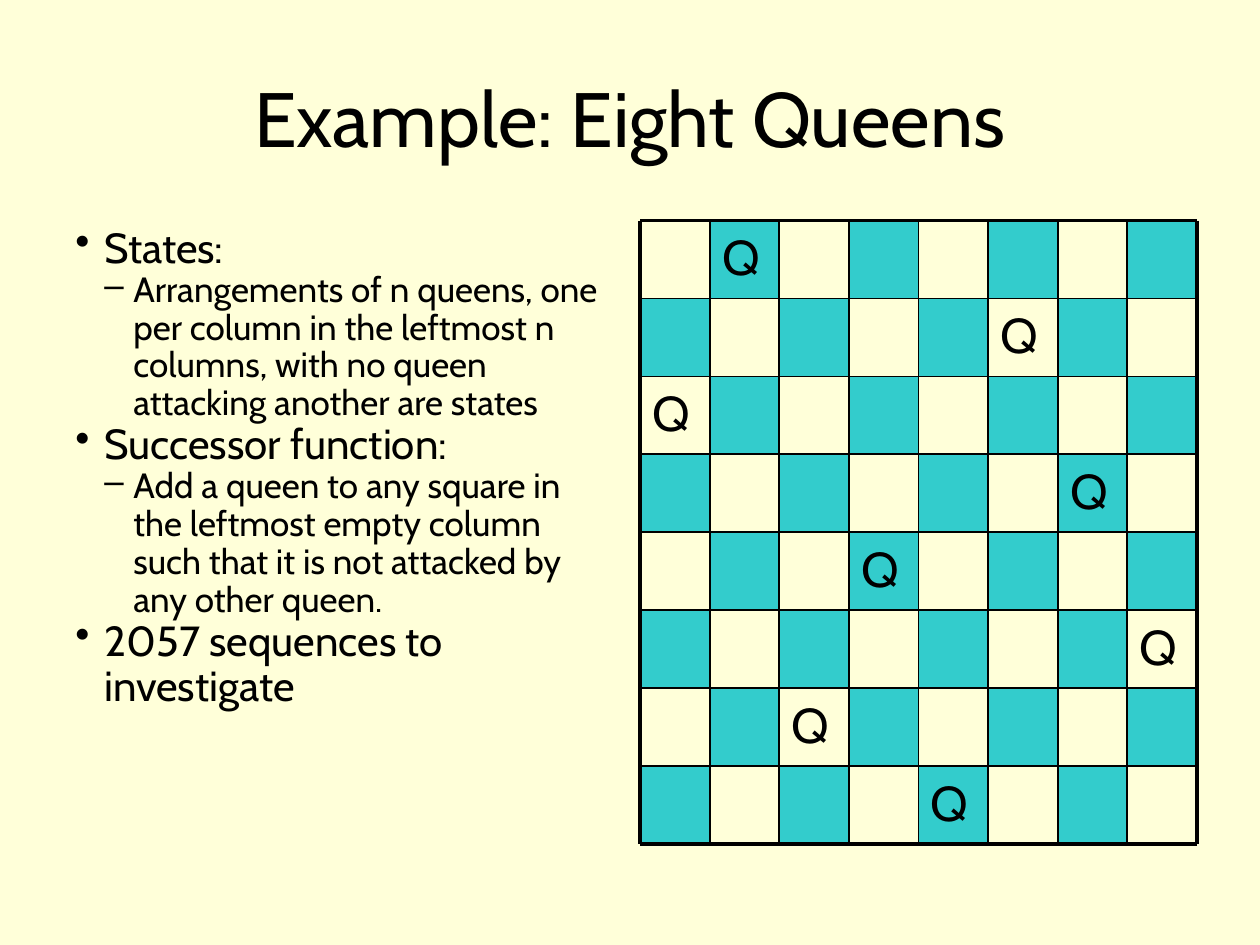
from dataclasses import dataclass

from lxml import etree
from pptx import Presentation
from pptx.dml.color import RGBColor
from pptx.enum.shapes import MSO_CONNECTOR, MSO_SHAPE
from pptx.enum.text import MSO_ANCHOR, PP_ALIGN
from pptx.oxml.ns import qn
from pptx.util import Inches, Pt

RECT = MSO_SHAPE.RECTANGLE
LINE = MSO_CONNECTOR.STRAIGHT
TOP, MIDDLE = MSO_ANCHOR.TOP, MSO_ANCHOR.MIDDLE
LEFT, CENTER = PP_ALIGN.LEFT, PP_ALIGN.CENTER


@dataclass(frozen=True)
class Theme:
    """Colours, font and type sizes of the slide."""
    back: RGBColor = RGBColor(0xFF, 0xFF, 0xD9)
    ink: RGBColor = RGBColor(0, 0, 0)
    dark: RGBColor = RGBColor(0x33, 0xCC, 0xCC)
    font: str = "Cabin"
    title: int = 44
    queen: int = 28
    levels: tuple = (24, 20)
    thick: float = 2.25
    thin: float = 1


THEME = Theme()
SIZE = 8
X, Y, WIDE, HIGH = 5.08, 1.75, 4.42, 4.95
STEP_X, STEP_Y = WIDE / SIZE, HIGH / SIZE
QUEENS = (1, 5, 0, 6, 3, 7, 2, 4)
MARKS = ("•", "–")
HANG = 0.23
POINTS = (
    (0, "States:"),
    (1, "Arrangements of n queens, one per column in the leftmost n columns, "
        "with no queen attacking another are states"),
    (0, "Successor function:"),
    (1, "Add a queen to any square in the leftmost empty column such that "
        "it is not attacked by any other queen."),
    (0, "2057 sequences to investigate"),
)


def apply(item, form):
    """Set each attribute named in form."""
    for name, value in form.items():
        setattr(item, name, value)


def box(left, top, wide, high):
    """Turn a place in inches into lengths."""
    return tuple(Inches(n) for n in (left, top, wide, high))


def write(para, text, size, align=LEFT):
    """Put one run of styled text into a paragraph."""
    para.alignment = align
    run = para.add_run()
    run.text = text
    apply(run.font, {"name": THEME.font, "size": Pt(size)})
    run.font.color.rgb = THEME.ink


def frame(shape, anchor=TOP):
    """Prepare a shape's text frame and return it."""
    text = shape.text_frame
    apply(text, {
        "word_wrap": True, "vertical_anchor": anchor,
        "margin_left": Inches(0.1), "margin_right": Inches(0.1),
        "margin_top": Inches(0.05), "margin_bottom": Inches(0.05),
    })
    return text


def add_title(slide, text):
    """Place and fill the title."""
    shape = slide.shapes.title
    left, top, wide, high = box(0.5, 0.3, 9, 1.25)
    apply(shape, {"left": left, "top": top, "width": wide, "height": high})
    write(frame(shape, MIDDLE).paragraphs[0], text, THEME.title, CENTER)


def add_mark(para, level):
    """Give a paragraph its bullet and hanging indent."""
    props = para._p.get_or_add_pPr()
    props.set("marL", str(Inches(HANG * (level + 1))))
    props.set("indent", str(-Inches(HANG)))
    etree.SubElement(props, qn("a:buChar"), char=MARKS[level])


def add_list(slide, points):
    """Add the bulleted text."""
    text = frame(slide.shapes.add_textbox(*box(0.5, Y, WIDE, HIGH)))
    for i, (level, words) in enumerate(points):
        para = text.add_paragraph() if i else text.paragraphs[0]
        apply(para, {"level": level, "line_spacing": 0.9,
                     "space_before": Pt(0), "space_after": Pt(0)})
        write(para, words, THEME.levels[level])
        add_mark(para, level)


def add_cell(slide, row, col):
    """Add a dark square, a queen, or both."""
    place = box(X + col * STEP_X, Y + row * STEP_Y, STEP_X, STEP_Y)
    dark, queen = (row + col) % 2 == 1, QUEENS[row] == col
    if dark:
        cell = slide.shapes.add_shape(RECT, *place)
        cell.shadow.inherit = False
        cell.fill.solid()
        cell.fill.fore_color.rgb = THEME.dark
        cell.line.fill.background()
    elif queen:
        cell = slide.shapes.add_textbox(*place)
    if queen:
        write(frame(cell).paragraphs[0], "Q", THEME.queen)


def add_line(slide, start, end, width):
    """Draw one straight rule of the board."""
    ends = (Inches(n) for n in (*start, *end))
    rule = slide.shapes.add_connector(LINE, *ends)
    rule.line.color.rgb = THEME.ink
    rule.line.width = Pt(width)
    etree.SubElement(rule._element.spPr, qn("a:effectLst"))


def add_board(slide):
    """Draw the squares, queens and rules."""
    for row in range(SIZE):
        for col in range(SIZE):
            add_cell(slide, row, col)
    for i in range(SIZE + 1):
        width = THEME.thick if i in (0, SIZE) else THEME.thin
        x, y = X + i * STEP_X, Y + i * STEP_Y
        add_line(slide, (X, y), (X + WIDE, y), width)
        add_line(slide, (x, Y), (x, Y + HIGH), width)


def main():
    """Build and save the slide."""
    deck = Presentation()
    apply(deck, {"slide_width": Inches(10), "slide_height": Inches(7.5)})
    slide = deck.slides.add_slide(deck.slide_layouts.get_by_name("Title Only"))
    slide.background.fill.solid()
    slide.background.fill.fore_color.rgb = THEME.back
    add_title(slide, "Example: Eight Queens")
    add_list(slide, POINTS)
    add_board(slide)
    deck.save("out.pptx")


if __name__ == "__main__":
    main()
